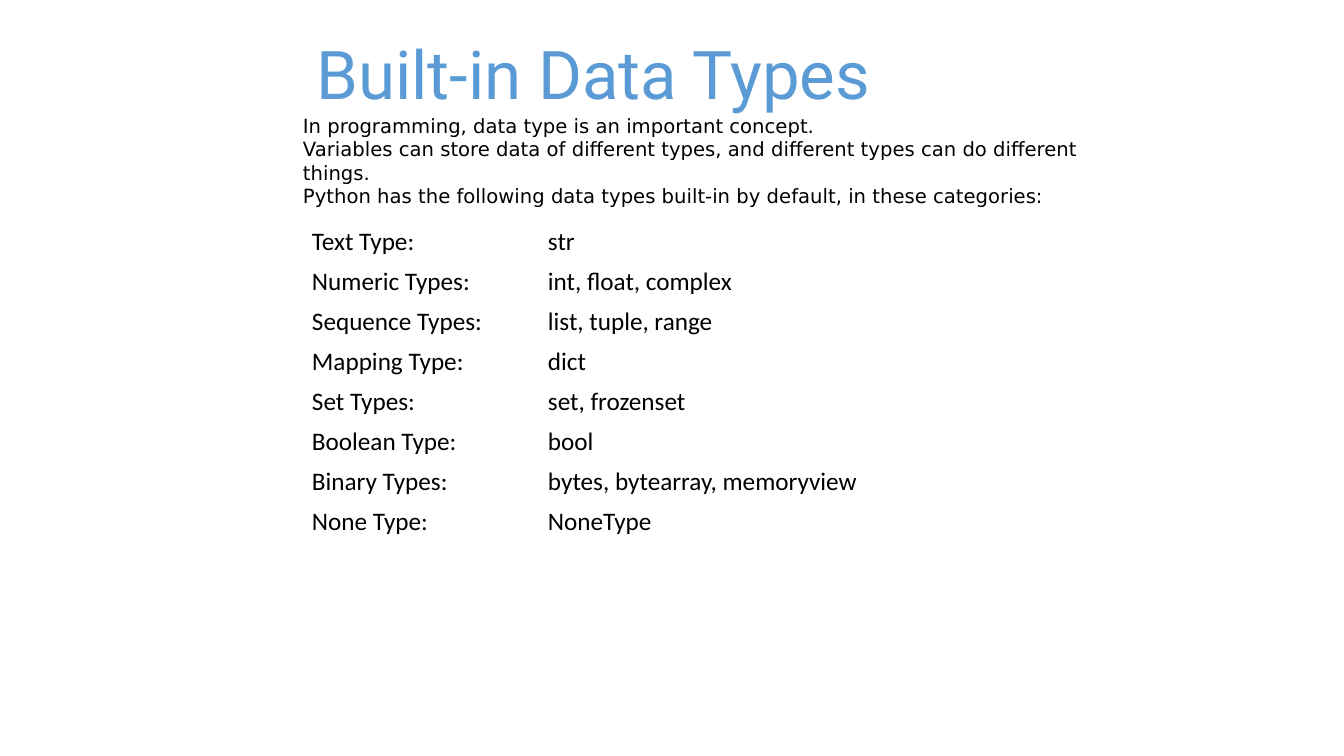
from pptx import Presentation
from pptx import util as u
from pptx.dml.color import RGBColor
from pptx.enum import shapes, text

PX = 914400 / 100.8
HUES = {"ink": "000000", "paper": "FFFFFF", "title": "5B9BD5"}


def px(*sizes):
    return [u.Emu(round(size * PX)) for size in sizes]


def write(frame, words, font, size, hue="ink", align=text.PP_ALIGN.LEFT):
    frame.text = words
    for para in frame.paragraphs:
        para.alignment = align
        face = para.runs[0].font
        face.name, face.size = font, u.Pt(size)
        face.color.rgb = RGBColor.from_string(HUES[hue])


deck = Presentation()
deck.slide_width, deck.slide_height = px(1344, 756)
slide = deck.slides.add_slide(deck.slide_layouts[6])
paper = RGBColor.from_string(HUES["paper"])

# Table of type categories
types = [
    ("Text Type:", "str"),
    ("Numeric Types:", "int, float, complex"),
    ("Sequence Types:", "list, tuple, range"),
    ("Mapping Type:", "dict"),
    ("Set Types:", "set, frozenset"),
    ("Boolean Type:", "bool"),
    ("Binary Types:", "bytes, bytearray, memoryview"),
    ("None Type:", "NoneType"),
]
table = slide.shapes.add_table(len(types), 2, *px(303, 222, 600, 320)).table
table.first_row = table.horz_banding = False
table.columns[0].width, table.columns[1].width = px(240, 360)
for row, pair in enumerate(types):
    table.rows[row].height = px(40)[0]
    for col, words in enumerate(pair):
        cell = table.cell(row, col)
        cell.fill.solid()
        cell.fill.fore_color.rgb = paper
        cell.margin_left, cell.margin_right = px(5 if col else 9, 5)
        cell.margin_top, cell.margin_bottom = px(5, 4)
        write(cell.text_frame, words, "Calibri", 18)

# Introduction
intro = slide.shapes.add_shape(shapes.MSO_SHAPE.RECTANGLE, *px(303, 106, 796, 109))
intro.shadow.inherit = False
intro.fill.solid()
intro.fill.fore_color.rgb = paper
intro.line.fill.background()
frame = intro.text_frame
frame.word_wrap = True
frame.vertical_anchor = text.MSO_ANCHOR.MIDDLE
frame.margin_left = frame.margin_right = 0
frame.margin_top, frame.margin_bottom = px(7, 7)
write(frame, "In programming, data type is an important concept.\n"
      "Variables can store data of different types, and different types can do different things.\n"
      "Python has the following data types built-in by default, in these categories:",
      "DejaVu Sans", 14)

# Title
title = slide.shapes.add_textbox(*px(303, 27, 581, 92))
title.text_frame.word_wrap = False
write(title.text_frame, "Built-in Data Types", "Roboto", 48,
      hue="title", align=text.PP_ALIGN.CENTER)

deck.save("out.pptx")
